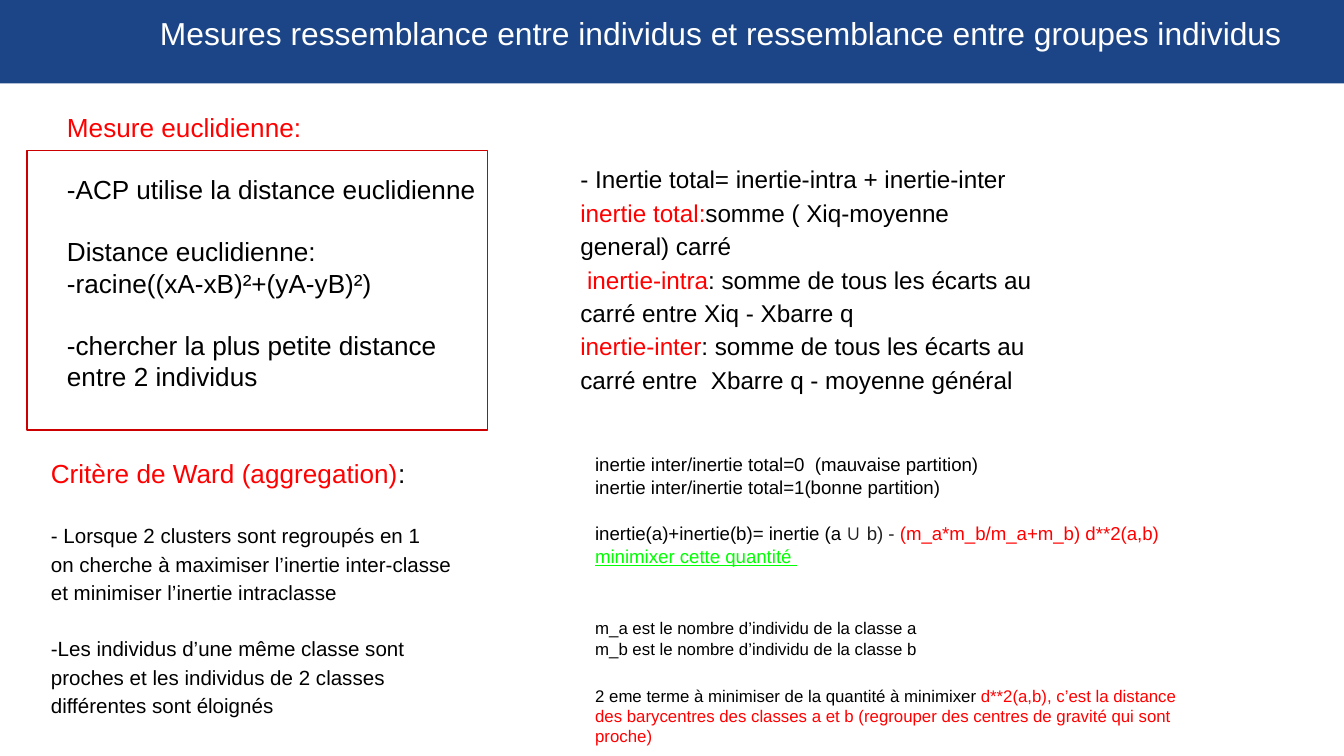
import pptx
import pptx.dml.color
import pptx.enum.shapes
import pptx.enum.text
import pptx.util
from pptx.util import Inches, Pt

BLACK, RED, GREEN, GREY = "000000", "FF0000", "00FF00", "222222"
WHITE, NAVY, FRAME_RED = "FFFFFF", "1C4587", "CC0000"

TITLE = "Mesures ressemblance entre individus et ressemblance entre groupes individus"

# Each paragraph: (size, space before in points, runs); each run: (text, colour, style)
BOXES = [
    {"at": (4.22, 1.09, 3.62, 2.1), "spacing": 1.15, "paragraphs": [
        (13, 0, [("- Inertie total= inertie-intra + inertie-inter", BLACK)]),
        (13, 0, [("inertie total:", RED), ("somme ( Xiq-moyenne general) carré", BLACK)]),
        (13, 0, [(" ", BLACK), ("inertie-intra", RED),
                 (": somme de tous les écarts au carré entre Xiq - Xbarre q", BLACK)]),
        (13, 0, [("inertie-inter", RED),
                 (": somme de tous les écarts au carré entre  Xbarre q - moyenne général", BLACK)]),
    ]},
    {"at": (0.4, 0.73, 3.43, 2.4), "spacing": 1, "paragraphs": [
        (14, 0, [("Mesure euclidienne:", RED)]),
        (14, 16.5, [("-ACP utilise la distance euclidienne", BLACK)]),
        (14, 16.5, [("Distance euclidienne:", BLACK)]),
        (14, 0, [("-racine((xA-xB)²+(yA-yB)²)", BLACK)]),
        (14, 16.5, [("-chercher la plus petite distance entre 2 individus", BLACK)]),
    ]},
    {"at": (4.33, 3.27, 4.43, 1.42), "spacing": 1, "paragraphs": [
        (10, 0, [("inertie inter/inertie total=0  (mauvaise partition)", BLACK)]),
        (10, 0, [("inertie inter/inertie total=1(bonne partition)", BLACK)]),
        (10, 12, [("inertie(a)+inertie(b)= inertie (a ", BLACK),
                  ("∪ ", GREY, {"bold": True, "size": Pt(11)}),
                  ("b) - ", GREY),
                  ("(m_a*m_b/m_a+m_b) d**2(a,b) ", RED),
                  ("minimixer cette quantité ", GREEN, {"underline": True})]),
    ]},
    {"at": (4.33, 4.5, 4.59, 1.04), "spacing": 1, "paragraphs": [
        (9, 0, [("m_a est le nombre d’individu de la classe a", BLACK)]),
        (9, 0, [("m_b est le nombre d’individu de la classe b", BLACK)]),
        (9, 14.5, [("2 eme terme à minimiser de la quantité à minimixer ", BLACK),
                   ("d**2(a,b), c’est la distance des barycentres des classes a et b "
                    "(regrouper des centres de gravité qui sont proche)", RED)]),
    ]},
    {"at": (0.28, 3.27, 3.28, 2.22), "spacing": 1.15, "paragraphs": [
        (14, 0, [("Critère de Ward (aggregation)", RED), (":", BLACK)]),
        (11, 16.5, [("- Lorsque 2 clusters sont regroupés en 1", BLACK)]),
        (11, 0, [("on cherche à maximiser l’inertie inter-classe "
                  "et minimiser l’inertie intraclasse", BLACK)]),
        (11, 15, [("-Les individus d’une même classe sont proches et les individus "
                   "de 2 classes différentes sont éloignés", BLACK)]),
    ]},
]
FRAME = (0.2, 1.12, 3.43, 2.08)


def rgb(value):
    return pptx.dml.color.RGBColor.from_string(value)


def add_run(para, text, size, colour, style=None):
    span = para.add_run()
    span.text = text
    span.font.name = "Arial"
    span.font.size = Pt(size)
    span.font.color.rgb = rgb(colour)
    for name, value in (style or {}).items():
        setattr(span.font, name, value)


def set_frame(frame, left=0.1):
    frame.word_wrap = True
    frame.auto_size = pptx.enum.text.MSO_AUTO_SIZE.NONE
    frame.vertical_anchor = pptx.enum.text.MSO_ANCHOR.TOP
    frame.margin_left = Inches(left)
    frame.margin_top = frame.margin_right = frame.margin_bottom = Inches(0.1)


def add_title(page):
    title = page.shapes.title
    title.left, title.top, title.width, title.height = map(Inches, (0, 0, 10, 0.62))
    title.fill.solid()
    title.fill.fore_color.rgb = rgb(NAVY)
    set_frame(title.text_frame, left=1.19)
    para = title.text_frame.paragraphs[0]
    para.alignment = pptx.enum.text.PP_ALIGN.LEFT
    add_run(para, TITLE, 17, WHITE)


def add_text(page, at, spacing, paragraphs):
    frame = page.shapes.add_textbox(*map(Inches, at)).text_frame
    set_frame(frame)
    for index, (size, before, runs) in enumerate(paragraphs):
        para = frame.add_paragraph() if index else frame.paragraphs[0]
        para.line_spacing = spacing
        para.space_before = Pt(before)
        for text, *look in runs:
            add_run(para, text, size, *look)


def add_frame(page):
    box = page.shapes.add_shape(pptx.enum.shapes.MSO_SHAPE.RECTANGLE, *map(Inches, FRAME))
    box.shadow.inherit = False
    box.fill.background()
    box.line.color.rgb = rgb(FRAME_RED)
    box.line.width = Pt(0.75)


def main():
    deck = pptx.Presentation()
    deck.slide_width = Inches(10)
    deck.slide_height = deck.slide_width * 9 // 16
    page = deck.slides.add_slide(deck.slide_layouts[5])
    add_title(page)
    for box in BOXES:
        add_text(page, **box)
    add_frame(page)
    deck.save("out.pptx")


if __name__ == "__main__":
    main()
